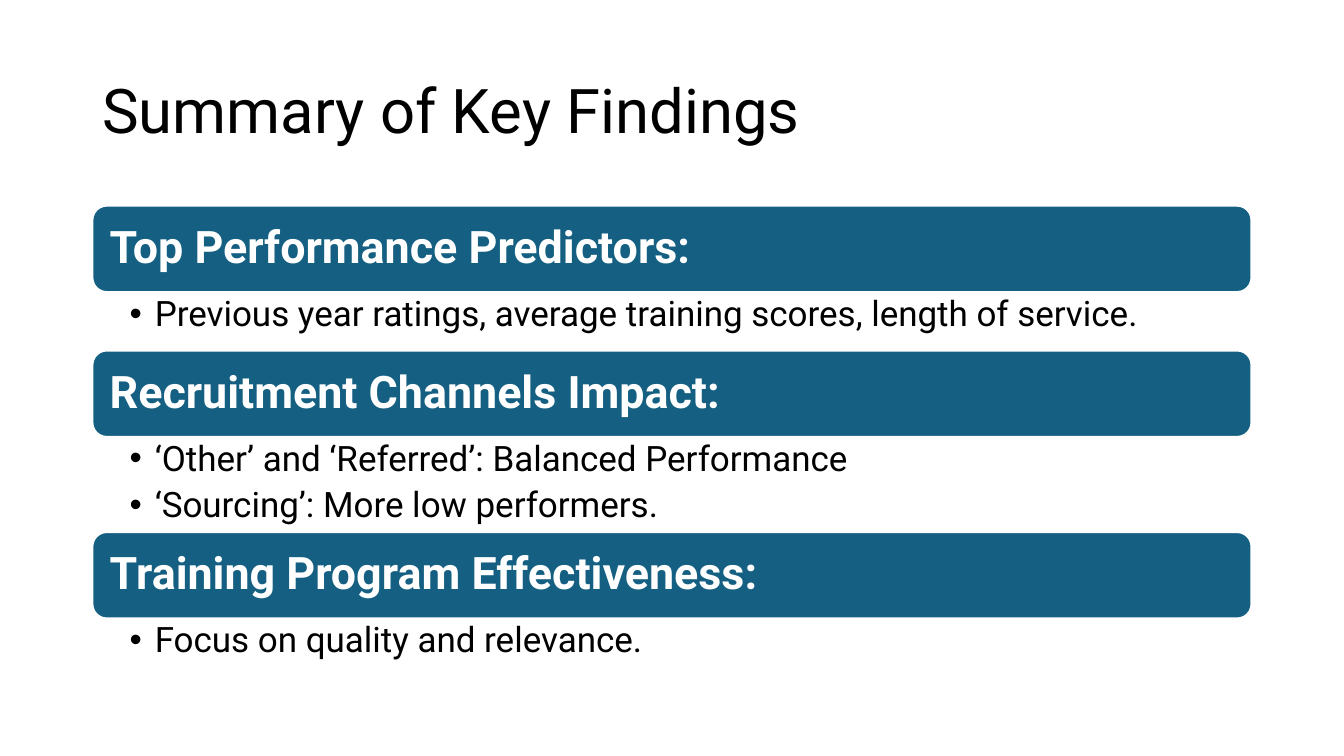
from lxml import etree
from pptx import Presentation
from pptx.dml import color
from pptx.enum import shapes, text
from pptx.oxml import ns
from pptx.util import Pt

FONT = "Roboto"
LEFT, WIDTH = 66, 828
FIRST_TOP, BAR_HEIGHT = 146.9, 61.8
BODY_PADDING, BULLET_HEIGHT = 15.4, 26.25
BULLET_INDENT = 18

FINDINGS = [
    ("Top Performance Predictors:",
     ["Previous year ratings, average training scores, length of service."]),
    ("Recruitment Channels Impact:",
     ["‘Other’ and ‘Referred’: Balanced Performance",
      "‘Sourcing’: More low performers."]),
    ("Training Program Effectiveness:",
     ["Focus on quality and relevance."]),
]


def rgb(value):
    """Return the colour for a hex string."""
    return color.RGBColor.from_string(value)


def add_run(paragraph, content, size, hex_color, bold=False):
    """Add a left-aligned run in the slide font."""
    paragraph.alignment = text.PP_ALIGN.LEFT
    paragraph.line_spacing = 0.9
    run = paragraph.add_run()
    run.text = content
    run.font.name = FONT
    run.font.size = Pt(size)
    run.font.bold = bold
    run.font.color.rgb = rgb(hex_color)


def set_frame(frame, anchor, left, top, right, bottom):
    """Set wrapping, anchor and margins of a text frame."""
    frame.word_wrap = True
    frame.auto_size = text.MSO_AUTO_SIZE.NONE
    frame.vertical_anchor = anchor
    frame.margin_left, frame.margin_top = Pt(left), Pt(top)
    frame.margin_right, frame.margin_bottom = Pt(right), Pt(bottom)


def add_bullet(paragraph):
    """Give a paragraph a hanging round bullet."""
    properties = paragraph._p.get_or_add_pPr()
    properties.set("marL", str(Pt(BULLET_INDENT)))
    properties.set("indent", str(-Pt(BULLET_INDENT)))
    etree.SubElement(properties, ns.qn("a:buFont"), typeface="Arial")
    etree.SubElement(properties, ns.qn("a:buChar"), char="•")


def add_title(slide, content):
    """Place and fill the title placeholder."""
    title = slide.shapes.title
    title.left, title.top = Pt(LEFT), Pt(28.75)
    title.width, title.height = Pt(WIDTH), Pt(104.4)
    set_frame(title.text_frame, text.MSO_ANCHOR.MIDDLE, 7.2, 3.6, 7.2, 3.6)
    add_run(title.text_frame.paragraphs[0], content, 44, "000000")


def add_heading_bar(slide, top, content):
    """Add a rounded bar holding a finding's heading."""
    bar = slide.shapes.add_shape(shapes.MSO_SHAPE.ROUNDED_RECTANGLE,
                                 Pt(LEFT), Pt(top), Pt(WIDTH), Pt(BAR_HEIGHT))
    bar.shadow.inherit = False
    bar.fill.solid()
    bar.fill.fore_color.rgb = rgb("156082")
    bar.line.color.rgb = rgb("FFFFFF")
    bar.line.width = Pt(1.5)
    set_frame(bar.text_frame, text.MSO_ANCHOR.MIDDLE, 9.4, 9.4, 9.4, 9.4)
    add_run(bar.text_frame.paragraphs[0], content, 32, "FFFFFF", bold=True)


def add_bullets(slide, top, height, bullets):
    """Add the bulleted details under a heading bar."""
    box = slide.shapes.add_textbox(Pt(LEFT), Pt(top), Pt(WIDTH), Pt(height))
    frame = box.text_frame
    set_frame(frame, text.MSO_ANCHOR.TOP, 26.6, 2.9, 18, 2.9)
    for index, content in enumerate(bullets):
        paragraph = frame.add_paragraph() if index else frame.paragraphs[0]
        paragraph.level = 1
        paragraph.space_before = Pt(0)
        paragraph.space_after = Pt(6)
        add_run(paragraph, content, 25, "000000")
        add_bullet(paragraph)


def main():
    """Build and save the slide."""
    presentation = Presentation()
    presentation.slide_width, presentation.slide_height = Pt(960), Pt(540)
    slide = presentation.slides.add_slide(presentation.slide_layouts[5])
    add_title(slide, "Summary of Key Findings")
    top = FIRST_TOP
    for heading, bullets in FINDINGS:
        add_heading_bar(slide, top, heading)
        body_height = BODY_PADDING + BULLET_HEIGHT * len(bullets)
        add_bullets(slide, top + BAR_HEIGHT, body_height, bullets)
        top += BAR_HEIGHT + body_height
    presentation.save("out.pptx")


if __name__ == "__main__":
    main()
